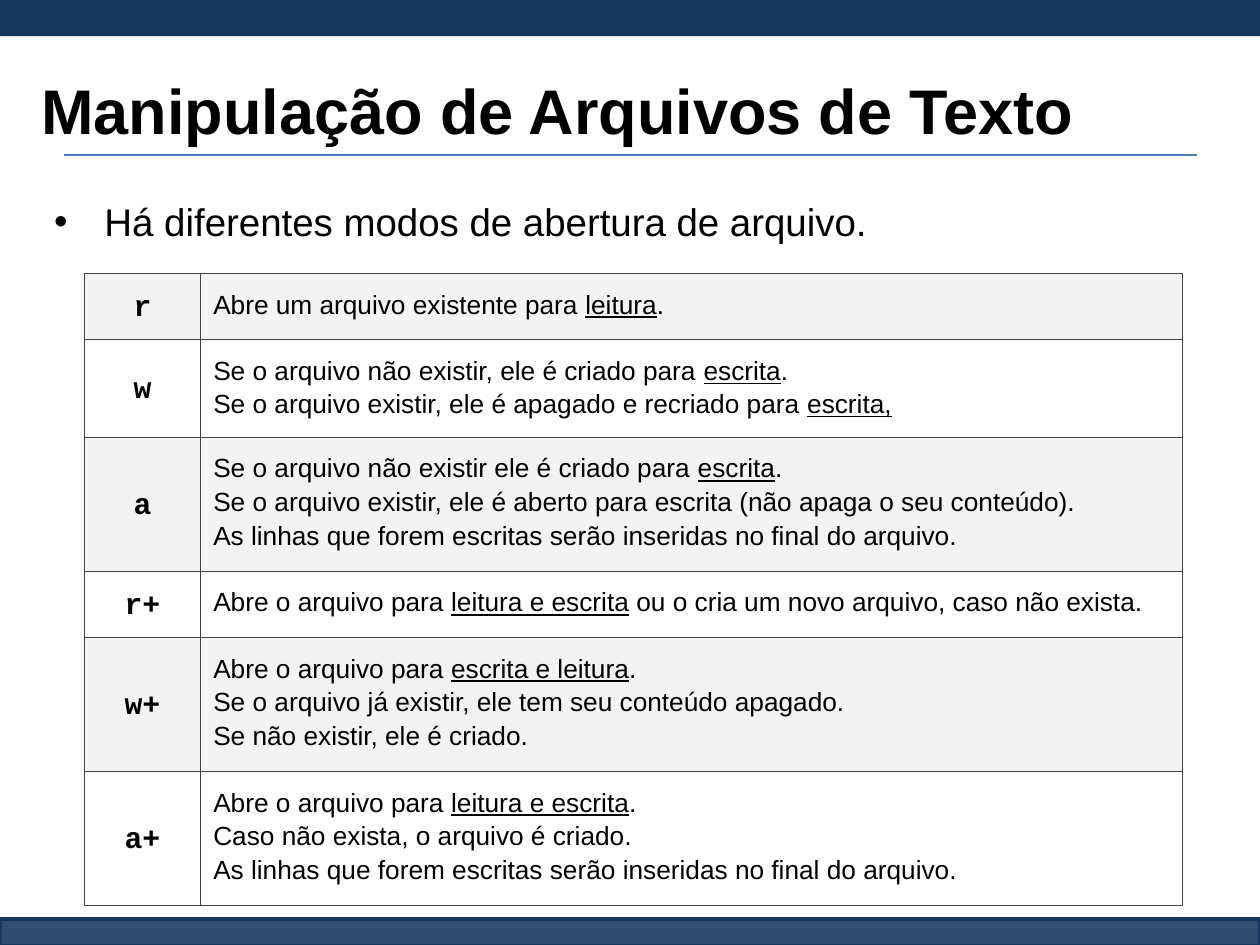
from lxml.etree import SubElement
from pptx import Presentation
from pptx.dml.color import RGBColor
from pptx.enum.shapes import MSO_CONNECTOR as Connector, MSO_SHAPE as Shape
from pptx.enum.text import MSO_ANCHOR as Anchor, PP_ALIGN as Align
from pptx.oxml import parse_xml
from pptx.oxml.ns import nsdecls, qn
from pptx.util import Pt

# Content: underlined words stand between underscores
TITLE = "Manipulação de Arquivos de Texto"
INTRO = "Há diferentes modos de abertura de arquivo."
APPENDED = "As linhas que forem escritas serão inseridas no final do arquivo."
MODES = [  # mode, row height, description lines
    ("r", 36.5, ["Abre um arquivo existente para _leitura_."]),
    ("w", 53, ["Se o arquivo não existir, ele é criado para _escrita_.",
               "Se o arquivo existir, ele é apagado e recriado para _escrita,_"]),
    ("a", 71.5, ["Se o arquivo não existir ele é criado para _escrita_.",
                 "Se o arquivo existir, ele é aberto para escrita (não apaga o seu conteúdo).",
                 APPENDED]),
    ("r+", 36.5, ["Abre o arquivo para _leitura e escrita_ ou o cria um novo arquivo, "
                  "caso não exista."]),
    ("w+", 72, ["Abre o arquivo para _escrita e leitura_.",
                "Se o arquivo já existir, ele tem seu conteúdo apagado.",
                "Se não existir, ele é criado."]),
    ("a+", 72, ["Abre o arquivo para _leitura e escrita_.",
                "Caso não exista, o arquivo é criado.",
                APPENDED]),
]
COLUMNS = (66.5, 561)
NAVY, BLUE, BLACK, GRID = "17365D", "4A7DBA", "000000", "434343"
ROW_FILLS = ("F3F3F3", "FFFFFF")
WIDTH, HEIGHT, INSET = 720, 540, 7.2


def color(value):
    return RGBColor.from_string(value)


def write(frame, lines, size, font="Arial", bold=False, align=Align.LEFT, spacing=None):
    frame.word_wrap = True
    for index, line in enumerate(lines):
        para = frame.paragraphs[0] if index == 0 else frame.add_paragraph()
        para.alignment = align
        if spacing:
            para.line_spacing = spacing
        for part, words in enumerate(line.split("_")):
            if not words:
                continue
            span = para.add_run()
            span.text = words
            span.font.name, span.font.size, span.font.bold = font, Pt(size), bold
            span.font.underline = part % 2 == 1
            span.font.color.rgb = color(BLACK)


def add_bar(top, height):
    bar = page.shapes.add_shape(Shape.RECTANGLE, 0, Pt(top), Pt(WIDTH), Pt(height))
    bar.shadow.inherit = False
    bar.fill.solid()
    bar.fill.fore_color.rgb = color(NAVY)
    return bar


def add_text(left, top, width, height, lines, anchor=Anchor.TOP, **style):
    frame = page.shapes.add_textbox(Pt(left), Pt(top), Pt(width), Pt(height)).text_frame
    frame.margin_left = frame.margin_right = Pt(INSET)
    frame.margin_top = frame.margin_bottom = Pt(INSET)
    frame.vertical_anchor = anchor
    write(frame, lines, **style)
    return frame


def format_cell(cell, fill, anchor):
    cell.margin_left = cell.margin_right = Pt(INSET)
    cell.margin_top = cell.margin_bottom = Pt(INSET)
    cell.vertical_anchor = anchor
    cell.fill.solid()
    cell.fill.fore_color.rgb = color(fill)
    properties = cell._tc.get_or_add_tcPr()
    for index, side in enumerate(("lnL", "lnR", "lnT", "lnB")):
        properties.insert(index, parse_xml(
            f'<a:{side} {nsdecls("a")} w="{Pt(0.75)}"><a:solidFill>'
            f'<a:srgbClr val="{GRID}"/></a:solidFill></a:{side}>'))


deck = Presentation()
deck.slide_width, deck.slide_height = Pt(WIDTH), Pt(HEIGHT)
page = deck.slides.add_slide(deck.slide_layouts[6])

# Bottom and top bars
footer = add_bar(525, 15.5)
footer.line.color.rgb = color(NAVY)
footer.line.width = Pt(2)
tint = footer.fill._xPr.find(qn("a:solidFill"))[0]
SubElement(tint, qn("a:alpha"), val="89000")
add_bar(0, 20.6).line.fill.background()

# Title and its rule
rule = page.shapes.add_connector(Connector.STRAIGHT, Pt(36.6), Pt(88.6), Pt(684), Pt(88.6))
rule.line.color.rgb = color(BLUE)
rule.line.width = Pt(0.75)
SubElement(rule._element.spPr, qn("a:effectLst"))
add_text(16.6, 20.2, 686, 84.2, [TITLE], anchor=Anchor.MIDDLE, size=36, bold=True)

# Bulleted introduction
intro = add_text(16.6, 105.8, 696, 51.8, [INTRO], size=22).paragraphs[0]
intro.space_before, intro.space_after = Pt(6.4), Pt(10)
bullet = intro._p.get_or_add_pPr()
bullet.set("marL", str(Pt(36)))
bullet.set("indent", str(Pt(-28.8)))
SubElement(SubElement(bullet, qn("a:buClr")), qn("a:srgbClr"), val=BLACK)
SubElement(bullet, qn("a:buFont"), typeface="Arial")
SubElement(bullet, qn("a:buChar"), char="•")

# Table of opening modes
table = page.shapes.add_table(
    len(MODES), len(COLUMNS), Pt(48.2), Pt(156.2),
    Pt(sum(COLUMNS)), Pt(sum(height for _, height, _ in MODES))).table
table.first_row = table.horz_banding = False
for column, width in zip(table.columns, COLUMNS):
    column.width = Pt(width)
for index, (mode, height, lines) in enumerate(MODES):
    table.rows[index].height = Pt(height)
    key, description = table.rows[index].cells
    fill = ROW_FILLS[index % 2]
    format_cell(key, fill, Anchor.MIDDLE)
    format_cell(description, fill, Anchor.TOP)
    write(key.text_frame, [mode], size=17, font="Courier New", bold=True,
          align=Align.CENTER, spacing=1.15)
    write(description.text_frame, lines, size=15, spacing=1.15)

deck.save("out.pptx")
